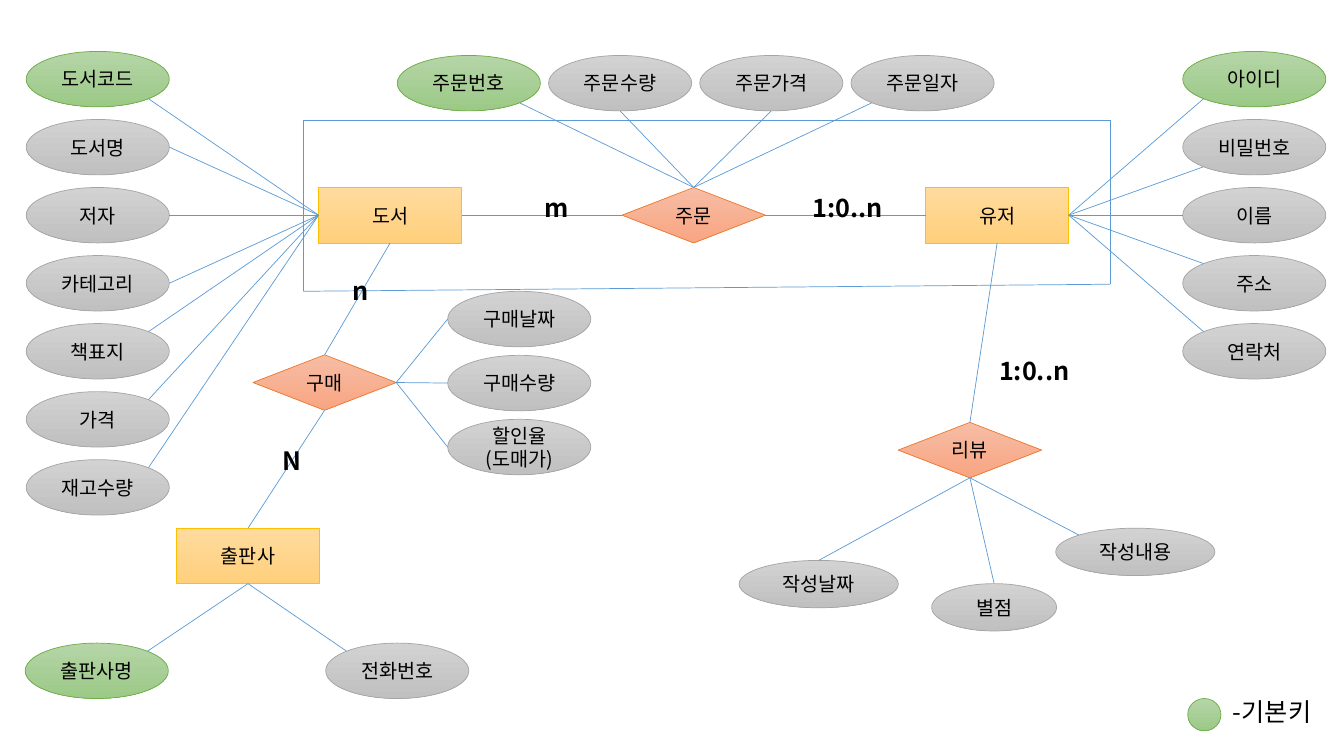
from lxml import etree
from pptx import Presentation
from pptx.dml.color import RGBColor
from pptx.enum.shapes import MSO_CONNECTOR, MSO_SHAPE
from pptx.enum.text import MSO_ANCHOR, PP_ALIGN
from pptx.oxml.ns import qn
from pptx.util import Inches, Pt

RECT, DIAMOND, OVAL = MSO_SHAPE.RECTANGLE, MSO_SHAPE.DIAMOND, MSO_SHAPE.OVAL
STRAIGHT = MSO_CONNECTOR.STRAIGHT
CENTER, MIDDLE = PP_ALIGN.CENTER, MSO_ANCHOR.MIDDLE
TOP, LEFT, BOTTOM, RIGHT = range(4)

FONT = "Noto Sans CJK KR"
COLORS = {
    "text": "000000", "link": "5B9BD5",
    "entity": ("FFDB9E", "FFD07C", "FFC000"),
    "relation": ("F7BDA5", "F8A582", "ED7D31"),
    "key": ("B5D5A7", "9CC987", "70AD47"),
    "attr": ("D2D2D2", "C0C0C0", "A5A5A5"),
}
GEOMETRY = {"entity": RECT, "relation": DIAMOND, "key": OVAL, "attr": OVAL}
NODE_FORMAT = {"size": Pt(14), "bold": False, "name": FONT}
LABEL_FORMAT = {"size": Pt(18), "bold": True, "name": FONT}
LEGEND_FORMAT = {"size": Pt(18), "bold": False, "name": FONT}
W, H = 1.42, 0.55
NEAR, FAR = 0.146, 0.854
SITES = {
    "n": (0.5, 0), "s": (0.5, 1), "w": (0, 0.5), "e": (1, 0.5),
    "nw": (NEAR, NEAR), "ne": (FAR, NEAR), "sw": (NEAR, FAR), "se": (FAR, FAR),
}


def rgb(value):
    """Turn a hex string into a colour."""
    return RGBColor.from_string(value)


def write(tf, text, fmt):
    """Put one formatted run into a text frame and return its paragraph."""
    tf.word_wrap = True
    p = tf.paragraphs[0]
    r = p.add_run()
    r.text = text
    r.font.color.rgb = rgb(COLORS["text"])
    for name, value in fmt.items():
        setattr(r.font, name, value)
    etree.SubElement(r._r.get_or_add_rPr(), qn("a:ea"), typeface=FONT)
    return p


def add_node(s, kind, text, x, y, w=W, h=H):
    """Draw an entity, relation or attribute with its gradient."""
    sp = s.shapes.add_shape(GEOMETRY[kind], Inches(x), Inches(y), Inches(w), Inches(h))
    sp.shadow.inherit = False
    start, end, edge = COLORS[kind]
    sp.fill.gradient()
    sp.fill.gradient_angle = 270
    for stop, color in zip(sp.fill.gradient_stops, (start, end)):
        stop.color.rgb = rgb(color)
    sp.line.color.rgb = rgb(edge)
    sp.line.width = Pt(0.5)
    if text:
        sp.text_frame.vertical_anchor = MIDDLE
        write(sp.text_frame, text, NODE_FORMAT).alignment = CENTER
    return sp


def add_line(s, x1=0, y1=0, x2=0, y2=0):
    """Draw a thin straight line between two points."""
    c = s.shapes.add_connector(STRAIGHT, Inches(x1), Inches(y1), Inches(x2), Inches(y2))
    c.line.color.rgb = rgb(COLORS["link"])
    c.line.width = Pt(0.5)
    etree.SubElement(c._element.spPr, qn("a:effectLst"))
    return c


def add_link(s, first, side1, second, side2):
    """Join the sides of two nodes."""
    c = add_line(s)
    c.begin_connect(first, side1)
    c.end_connect(second, side2)


def add_attr(s, node, side, text, site, x, y, w=W, h=H, kind="attr"):
    """Draw an attribute and tie it to a side of its node."""
    add_node(s, kind, text, x, y, w, h)
    fx, fy = SITES[site]
    c = add_line(s, x + fx * w, y + fy * h)
    c.end_connect(node, side)


def add_label(s, text, x, y, w, h=0.4, fmt=LABEL_FORMAT):
    """Place a line of free text."""
    write(s.shapes.add_textbox(Inches(x), Inches(y), Inches(w), Inches(h)).text_frame, text, fmt)


def add_series(s, node, side, attrs, x, y, dx=0, dy=0, keyed=True):
    """Place attributes at equal steps, the first one being the key."""
    for i, (text, site) in enumerate(attrs):
        kind = "key" if keyed and i == 0 else "attr"
        add_attr(s, node, side, text, site, x + i * dx, y + i * dy, kind=kind)


def add_frame(s, x, y, w, h):
    """Outline the order area with four lines, the right side being shorter."""
    corners = [(x, y), (x + w, y), (x + w, y + h - 0.07), (x, y + h)]
    for start, end in zip(corners, corners[1:] + corners[:1]):
        add_line(s, *start, *end)


def add_book(s, x, y):
    """Draw the book entity with its column of attributes."""
    node = add_node(s, "entity", "도서", x + 2.9, y + 1.35)
    attrs = [("도서코드", "se"), ("도서명", "e"), ("저자", "e"), ("카테고리", "e"),
             ("책표지", "ne"), ("가격", "ne"), ("재고수량", "ne")]
    add_series(s, node, LEFT, attrs, x, y, dy=0.675)
    return node


def add_user(s, x, y):
    """Draw the user entity with its column of attributes."""
    node = add_node(s, "entity", "유저", x, y + 1.35)
    attrs = [("아이디", "sw"), ("비밀번호", "sw"), ("이름", "w"), ("주소", "nw"), ("연락처", "nw")]
    add_series(s, node, RIGHT, attrs, x + 2.55, y, dy=0.675)
    return node


def add_order(s, x, y):
    """Draw the order relation below its row of attributes."""
    node = add_node(s, "relation", "주문", x + 2.23, y + 1.31)
    attrs = [("주문번호", "se"), ("주문수량", "s"), ("주문가격", "s"), ("주문일자", "sw")]
    add_series(s, node, TOP, attrs, x, y, dx=1.5)
    return node


def add_purchase(s, x, y):
    """Draw the purchase relation with attributes at its right."""
    node = add_node(s, "relation", "구매", x, y + 0.63)
    attrs = [("구매날짜", "w"), ("구매수량", "w"), ("할인율(도매가)", "w")]
    add_series(s, node, RIGHT, attrs, x + 1.93, y, dy=0.635, keyed=False)
    return node


def add_publisher(s, x, y):
    """Draw the publisher entity above its two attributes."""
    node = add_node(s, "entity", "출판사", x + 1.5, y)
    add_series(s, node, BOTTOM, [("출판사명", "ne"), ("전화번호", "nw")], x, y + 1.14, dx=2.98)
    return node


def add_review(s, x, y):
    """Draw the review relation above its three attributes."""
    node = add_node(s, "relation", "리뷰", x + 1.58, y)
    for text, site, dx, dy, w in [("작성날짜", "n", 0, 1.37, 1.58), ("별점", "n", 1.91, 1.6, 1.24),
                                  ("작성내용", "nw", 3.14, 1.05, 1.58)]:
        add_attr(s, node, BOTTOM, text, site, x + dx, y + dy, w, 0.47)
    return node


def add_legend(s, x, y):
    """Explain the colour of key attributes."""
    add_node(s, "key", "", x, y + 0.07, 0.33, 0.32)
    add_label(s, "-기본키", x + 0.35, y, 1.2, 0.51, LEGEND_FORMAT)


def main():
    """Build the entity relationship slide."""
    prs = Presentation()
    prs.slide_width, prs.slide_height = Inches(13.33), Inches(7.5)
    s = prs.slides.add_slide(prs.slide_layouts[6])
    add_frame(s, 3.01, 1.19, 8, 1.7)
    book = add_book(s, 0.26, 0.51)
    user = add_user(s, 9.18, 0.51)
    order = add_order(s, 3.94, 0.55)
    purchase = add_purchase(s, 2.51, 2.89)
    publisher = add_publisher(s, 0.25, 5.24)
    review = add_review(s, 7.33, 4.19)
    add_legend(s, 11.78, 6.86)
    for link in [(book, RIGHT, order, LEFT), (order, RIGHT, user, LEFT),
                 (book, BOTTOM, purchase, TOP), (purchase, BOTTOM, publisher, TOP),
                 (user, BOTTOM, review, TOP)]:
        add_link(s, *link)
    for label in [("n", 3.4, 2.68, 0.31), ("N", 2.7, 4.37, 0.31), ("m", 5.3, 1.86, 0.31),
                  ("1:0..n", 7.96, 1.86, 1.31), ("1:0..n", 9.81, 3.48, 1.31)]:
        add_label(s, *label)
    prs.save("out.pptx")


if __name__ == "__main__":
    main()
